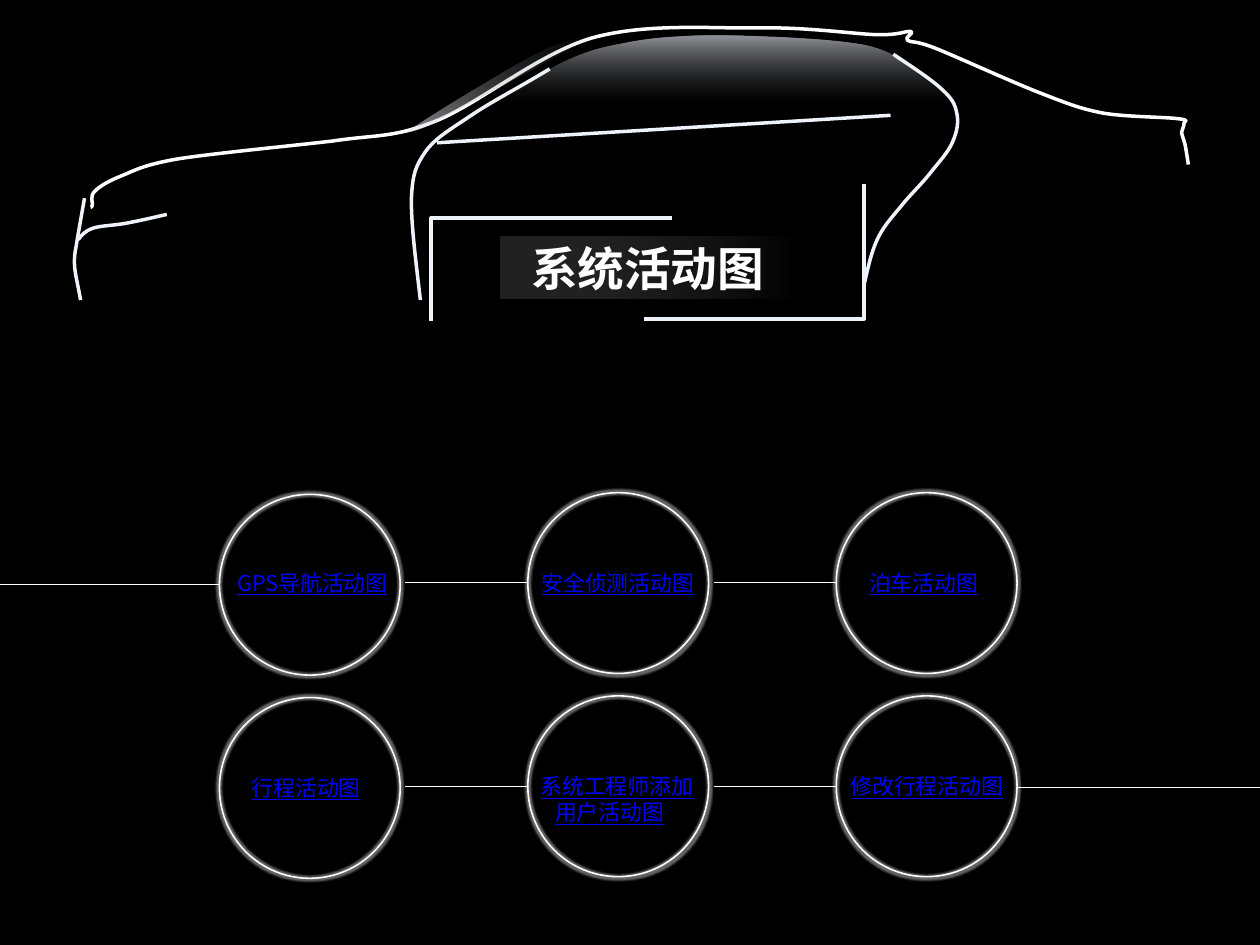
from lxml import etree
from pptx import Presentation
from pptx.dml.color import RGBColor
from pptx.enum import shapes, text
from pptx.oxml import ns
from pptx.util import Inches, Pt

# Content: each outline is a start point, then curves (six numbers) or lines (two)
BODY = [
    (1.62, 3.7), (1.63, 3.7, 1.64, 3.71, 1.65, 3.66), (1.66, 3.62, 1.6, 3.51, 1.69, 3.42),
    (1.77, 3.34, 1.9, 3.25, 2.15, 3.15), (2.4, 3.05, 2.54, 2.95, 3.17, 2.84),
    (3.8, 2.74, 5.26, 2.6, 5.94, 2.52), (6.74, 2.4, 7.02, 2.47, 7.79, 2.16),
    (8.56, 1.85, 9.62, 0.96, 10.57, 0.68), (11.53, 0.41, 12.68, 0.51, 13.52, 0.5),
    (14.37, 0.48, 15.19, 0.6, 15.64, 0.62), (16.1, 0.63, 16.17, 0.55, 16.27, 0.56),
    (16.36, 0.58, 16.14, 0.67, 16.21, 0.72), (16.29, 0.77, 16.33, 0.71, 16.73, 0.87),
    (17.13, 1.03, 18.13, 1.49, 18.63, 1.68), (19.12, 1.87, 19.3, 1.94, 19.7, 2.02),
    (20.1, 2.09, 20.8, 2.09, 21.04, 2.12), (21.29, 2.15, 21.14, 2.16, 21.15, 2.21),
    (21.16, 2.25, 21.11, 2.32, 21.11, 2.38), (21.12, 2.44, 21.15, 2.49, 21.17, 2.58),
    (21.19, 2.68, 21.21, 2.81, 21.23, 2.94)]
SIDE_WINDOW = [
    (7.9, 2.58), (8.83, 1.72, 9.02, 1.69, 9.71, 1.29), (10.4, 0.9, 10.72, 0.85, 11.3, 0.74),
    (11.87, 0.64, 12.47, 0.63, 13.15, 0.64), (13.84, 0.65, 14.88, 0.7, 15.42, 0.8),
    (15.96, 0.91, 16.15, 1.13, 16.39, 1.27), (16.63, 1.42, 16.87, 1.54, 16.87, 1.68),
    (16.86, 1.81, 16.52, 2, 16.36, 2.09), (16.19, 2.18, 16.32, 2.1, 15.27, 2.16),
    (10.04, 2.44), (8.88, 2.51, 8.91, 2.52, 8.35, 2.56)]
REAR_DOOR = [
    (15.96, 0.97), (16.24, 1.16, 16.63, 1.41, 16.82, 1.59), (17.01, 1.76, 17.06, 1.86, 17.09, 2.01),
    (17.13, 2.17, 17.1, 2.35, 17.02, 2.53), (16.95, 2.71, 16.76, 2.91, 16.62, 3.09),
    (16.47, 3.28, 16.3, 3.44, 16.14, 3.63), (15.99, 3.82, 15.81, 4, 15.69, 4.24),
    (15.57, 4.48, 15.51, 4.77, 15.44, 5.07)]
FRONT_DOOR = [
    (9.82, 1.23), (9.35, 1.52, 8.79, 1.81, 8.42, 2.06), (8.05, 2.31, 7.78, 2.46, 7.6, 2.71),
    (7.43, 2.96, 7.37, 3.1, 7.35, 3.54), (7.34, 3.98, 7.43, 4.67, 7.51, 5.36)]
WAIST = [(7.81, 2.55), (15.91, 2.06)]
BUMPER = [
    (1.51, 3.54), (1.46, 3.82, 1.41, 4.1, 1.38, 4.28), (1.35, 4.47, 1.33, 4.54, 1.33, 4.64),
    (1.33, 4.74, 1.33, 4.77, 1.35, 4.89), (1.37, 5.01, 1.41, 5.19, 1.44, 5.36)]
HEADLIGHT = [
    (1.4, 4.28), (1.45, 4.21, 1.51, 4.13, 1.65, 4.08), (1.79, 4.03, 2.01, 4.03, 2.24, 3.99),
    (2.46, 3.95, 2.72, 3.89, 2.98, 3.83)]
WINDSCREEN = [
    (7.29, 2.34), (7.63, 2.11, 8, 1.88, 8.43, 1.62), (8.85, 1.37, 9.43, 1.01, 9.83, 0.84),
    (10.23, 0.67, 10.73, 0.63, 10.83, 0.61), (10.92, 0.6, 10.66, 0.63, 10.42, 0.75),
    (10.17, 0.87, 9.71, 1.13, 9.36, 1.32), (8.31, 1.89), (8.01, 2.05, 7.77, 2.19, 7.56, 2.28),
    (7.36, 2.36, 7.23, 2.37, 7.09, 2.39)]
FRAME = [[(12, 3.89), (7.7, 3.89), (7.7, 5.74)], [(11.51, 5.7), (15.44, 5.7), (15.44, 3.29)]]

WHITE, PALE = "FFFFFF", "EEF2F9"
# Gradients: angle, then stops of position, colour, opacity in percent
WINDOW_FADE = (90, [(0, PALE, 61), (63, "4F5053", 0)])
WINDSCREEN_FADE = (315, [(0, PALE, 61), (100, "4F5053", 0)])
TITLE_FADE = (180, [(0, "BFBFBF", 0), (69, "808080", 26)])
CAR = [(BODY, WHITE, None), (SIDE_WINDOW, None, WINDOW_FADE), (REAR_DOOR, PALE, None),
       (FRONT_DOOR, PALE, None), (WAIST, PALE, None), (BUMPER, PALE, None),
       (HEADLIGHT, PALE, None), (WINDSCREEN, None, WINDSCREEN_FADE)]

TITLE = "系统活动图"
# Labels: left, top, width, height, lines of (text, indent)
LABELS = [
    (4.14, 10.13, 2.92, 0.57, [("GPS导航活动图", 0)]),
    (9.58, 10.13, 2.95, 0.57, [("安全侦测活动图", 0)]),
    (15.43, 10.13, 2.17, 0.57, [("泊车活动图", 0)]),
    (4.14, 13.79, 2.51, 0.57, [("行程活动图", 0.26)]),
    (9.56, 13.76, 2.95, 1.04, [("系统工程师添加", 0), ("用户活动图", 0.26)]),
    (15.1, 13.76, 2.95, 0.57, [("修改行程活动图", 0)])]

WIDTH, HEIGHT = 22.51, 16.88
COLUMNS = [3.92 + 5.51 * column for column in range(3)]
ROWS = [(8.8, 10.41), (12.43, 14.05)]  # circle top, link height
DIAMETER, GAP, DROP = 3.23, 0.09, 0.03
CJK_FONT = "Noto Sans CJK SC"


def color(value):
    return RGBColor.from_string(value)


def add_xml(parent, tag, **attributes):
    return etree.SubElement(parent, ns.qn(tag), {k: str(v) for k, v in attributes.items()})


def add_tint(parent, value, opacity):
    tint = add_xml(parent, "a:srgbClr", val=value)
    add_xml(tint, "a:alpha", val=opacity * 1000)


def style(shape, line=None, width=4.5, fade=None):
    shape.shadow.inherit = False
    shape.fill.background()
    if line:
        shape.line.color.rgb = color(line)
        shape.line.width = Pt(width)
    else:
        shape.line.fill.background()
    if fade:
        angle, stops = fade
        properties = shape._element.spPr
        empty_fill = properties.find(ns.qn("a:noFill"))
        gradient = etree.Element(ns.qn("a:gradFill"), rotWithShape="1")
        stop_list = add_xml(gradient, "a:gsLst")
        for position, value, opacity in stops:
            add_tint(add_xml(stop_list, "a:gs", pos=position * 1000), value, opacity)
        add_xml(gradient, "a:lin", ang=angle * 60000, scaled=0)
        properties.replace(empty_fill, gradient)


def add_outline(parent, outline, line, fade=None):
    start, *segments = outline
    points = [(Inches(s[i]), Inches(s[i + 1])) for s in segments for i in range(0, len(s), 2)]
    builder = parent.build_freeform(Inches(start[0]), Inches(start[1]))
    builder.add_line_segments(points, close=False)
    shape = builder.convert_to_shape()
    # Merge three line steps into one Bezier curve
    steps = iter(list(shape._element.iter(ns.qn("a:lnTo"))))
    for segment in segments:
        step = next(steps)
        if len(segment) == 6:
            step.tag = ns.qn("a:cubicBezTo")
            for extra in (next(steps), next(steps)):
                step.append(extra[0])
                extra.getparent().remove(extra)
    style(shape, line, fade=fade)


def add_link(left, right, y):
    link = slide.shapes.add_connector(
        shapes.MSO_CONNECTOR.STRAIGHT, Inches(left), Inches(y), Inches(right), Inches(y))
    link.line.color.rgb = color(WHITE)
    link.line.width = Pt(0.75)
    add_xml(link._element.spPr, "a:effectLst")


def write(paragraph, content, font_color, **formats):
    run = paragraph.add_run()
    run.text = content
    run.font.color.rgb = color(font_color)
    for name, value in formats.items():
        setattr(run.font, name, value)
    add_xml(run._r.get_or_add_rPr(), "a:ea", typeface=CJK_FONT)


presentation = Presentation()
presentation.slide_width, presentation.slide_height = Inches(WIDTH), Inches(HEIGHT)
slide = presentation.slides.add_slide(presentation.slide_layouts[6])
slide.background.fill.solid()
slide.background.fill.fore_color.rgb = color("000000")

# Car
car = slide.shapes.add_group_shape()
for outline, line, fade in CAR:
    add_outline(car.shapes, outline, line, fade)

# Title and its frame
title = slide.shapes.add_shape(
    shapes.MSO_SHAPE.RECTANGLE, Inches(8.94), Inches(4.22), Inches(5.26), Inches(1.11))
style(title, fade=TITLE_FADE)
title.text_frame.vertical_anchor = text.MSO_ANCHOR.MIDDLE
heading = title.text_frame.paragraphs[0]
heading.alignment = text.PP_ALIGN.CENTER
write(heading, TITLE, WHITE, size=Pt(60), bold=True, name="Montserrat")
for corner in FRAME:
    add_outline(slide.shapes, corner, PALE)

# Glowing circles and the links between them
for top, link_y in ROWS:
    for index, left in enumerate(COLUMNS):
        circle = slide.shapes.add_shape(
            shapes.MSO_SHAPE.OVAL, Inches(left), Inches(top + (0 if index else DROP)),
            Inches(DIAMETER), Inches(DIAMETER))
        style(circle, WHITE, 2)
        effects = circle._element.spPr.find(ns.qn("a:effectLst"))
        add_tint(add_xml(effects, "a:glow", rad=Pt(5)), WHITE, 40)
        if index:
            add_link(COLUMNS[index - 1] + DIAMETER + GAP, left, link_y)
add_link(0, COLUMNS[0], 10.44)
add_link(COLUMNS[-1] + DIAMETER, WIDTH, 14.07)

# Labels
for left, top, width, height, lines in LABELS:
    frame = slide.shapes.add_textbox(*map(Inches, (left, top, width, height))).text_frame
    frame.word_wrap = True
    for index, (content, indent) in enumerate(lines):
        paragraph = frame.add_paragraph() if index else frame.paragraphs[0]
        paragraph._p.get_or_add_pPr().set("marL", str(Inches(indent)))
        write(paragraph, content, "0000FF", size=Pt(28), underline=True, name=CJK_FONT)

presentation.save("out.pptx")
